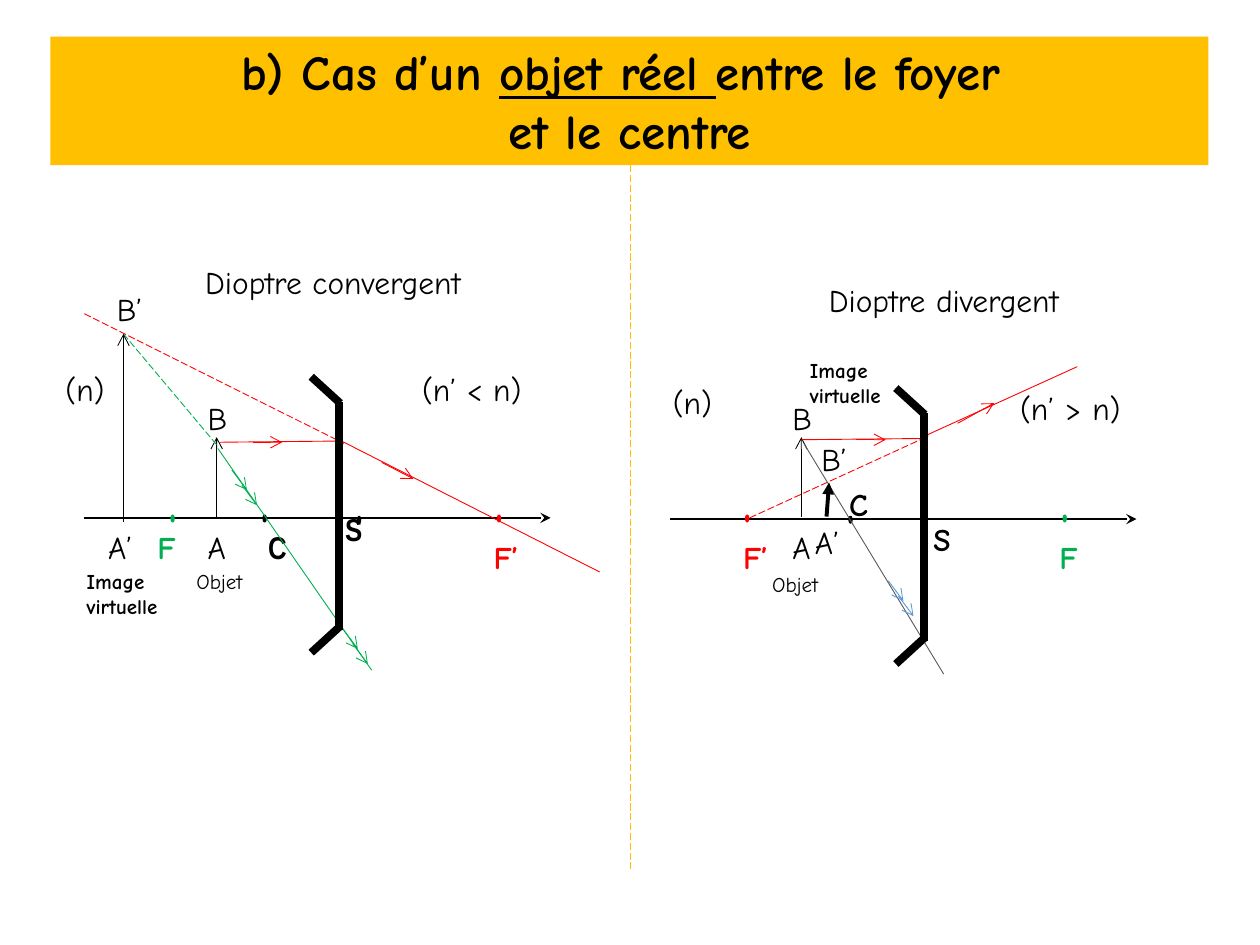
from lxml import etree
from pptx import Presentation
from pptx.dml.color import RGBColor
from pptx.enum.dml import MSO_LINE
from pptx.enum.shapes import MSO_CONNECTOR, MSO_SHAPE
from pptx.enum.text import MSO_ANCHOR, MSO_AUTO_SIZE, PP_ALIGN
from pptx.oxml.ns import qn
from pptx.util import Inches, Pt

STRAIGHT = MSO_CONNECTOR.STRAIGHT
OVAL = MSO_SHAPE.OVAL
LONG_DASH = MSO_LINE.LONG_DASH
CENTER = PP_ALIGN.CENTER
LEFT = PP_ALIGN.LEFT
FONT = "Comic Neue"
COLORS = {
    "black": "000000",
    "gold": "FFC000",
    "red": "FF0000",
    "green": "00B050",
    "blue": "5B9BD5",
    "gray": "595959",
}


def color(name):
    return RGBColor.from_string(COLORS[name])


def style_font(font, size, ink="black", bold=False, face=FONT):
    font.name = face
    font.size = Pt(size)
    font.bold = bold
    font.color.rgb = color(ink)


def add_title(slide):
    title = slide.shapes.title
    title.left, title.top = Inches(0.4), Inches(0.29)
    title.width, title.height = Inches(9.19), Inches(1.02)
    title.fill.solid()
    title.fill.fore_color.rgb = color("gold")
    frame = title.text_frame
    frame.auto_size = MSO_AUTO_SIZE.NONE
    frame.vertical_anchor = MSO_ANCHOR.MIDDLE
    first = frame.paragraphs[0]
    for words, underlined in (("b) Cas d’un ", False), ("objet réel ", True),
                              ("entre le foyer ", False)):
        run = first.add_run()
        run.text = words
        run.font.underline = underlined
    frame.add_paragraph().text = "et le centre"
    for paragraph in frame.paragraphs:
        paragraph.alignment = CENTER
        paragraph.space_before = Pt(0)
        style_font(paragraph.font, 28, bold=True)


def add_label(slide, lines, left, top, width=0.46, size=18, ink="black",
              bold=False, face=FONT, align=LEFT, wrap=True):
    lines = lines.split("\n")
    height = 0.1 + len(lines) * size / 60
    box = slide.shapes.add_textbox(Inches(left), Inches(top),
                                   Inches(width), Inches(height))
    frame = box.text_frame
    frame.word_wrap = wrap
    for index, line in enumerate(lines):
        paragraph = frame.add_paragraph() if index else frame.paragraphs[0]
        paragraph.text = line
        paragraph.alignment = align
        style_font(paragraph.font, size, ink, bold, face)


def add_line(slide, start, end, ink="black", weight=0.5, dash=None, head=None):
    line = slide.shapes.add_connector(STRAIGHT, *map(Inches, start + end))
    line.line.color.rgb = color(ink)
    line.line.width = Pt(weight)
    if dash:
        line.line.dash_style = dash
    if head:
        etree.SubElement(line.line._get_or_add_ln(), qn("a:tailEnd"), type=head)
    etree.SubElement(line._element.spPr, qn("a:effectLst"))


def add_point(slide, left, top, ink="black"):
    point = slide.shapes.add_shape(OVAL, Inches(left), Inches(top),
                                   Inches(0.02), Inches(0.05))
    point.shadow.inherit = False
    point.fill.solid()
    point.fill.fore_color.rgb = color(ink)
    point.line.color.rgb = color(ink)
    point.line.width = Pt(1)


def add_double_arrow(slide, x, y, ink):
    for dx, dy in ((0, 0), (0.08, 0.12)):
        add_line(slide, (x + dx, y + dy), (x + dx + 0.12, y + dy + 0.16),
                 ink, head="arrow")


def add_diopter(slide, x, top):
    """Thick surface with both ends bent back to the left."""
    bottom = top + 1.81
    add_line(slide, (x, top), (x, bottom), weight=4.5)
    add_line(slide, (x + 0.01, bottom - 0.03), (x - 0.22, bottom + 0.18), weight=4.5)
    add_line(slide, (x - 0.22, top - 0.2), (x + 0.01, top + 0.01), weight=4.5)


def add_axis_and_object(slide, axis_left, axis_y, object_x):
    add_line(slide, (axis_left, axis_y), (axis_left + 3.7, axis_y),
             weight=1.25, head="stealth")
    add_line(slide, (object_x, 4.1), (object_x, 3.47), head="arrow")
    add_label(slide, "A", object_x - 0.17, 4.14, 0.3)
    add_label(slide, "B", object_x - 0.17, 3.12, 0.35, wrap=False)


def add_convergent(slide):
    add_label(slide, "Dioptre convergent", 1.53, 2.04, 2.68)
    add_label(slide, "(n)", 0.22, 2.89, 0.91, align=CENTER)
    add_label(slide, "(n’ < n)", 3.18, 2.89, 1.13, align=CENTER)
    add_axis_and_object(slide, 0.67, 4.11, 1.72)

    # Points on the axis
    add_point(slide, 2.84, 4.1)
    add_label(slide, "S", 2.64, 4, 0.3, bold=True, face="Arial Narrow")
    add_point(slide, 2.09, 4.09)
    add_label(slide, "C", 2.03, 4.14, 0.3, bold=True, face="Arial Narrow")
    add_point(slide, 1.36, 4.09, "green")
    add_label(slide, "F", 1.15, 4.14, 0.3, ink="green", bold=True)
    add_point(slide, 3.95, 4.09, "red")
    add_label(slide, "F’", 3.82, 4.22, 0.63, ink="red", bold=True)

    # Rays and their virtual extensions
    add_line(slide, (1.74, 3.51), (2.72, 3.5), "red")
    add_line(slide, (2.71, 3.5), (4.76, 4.54), "red")
    add_line(slide, (1.73, 3.56), (2.95, 5.32), "green")
    add_line(slide, (0.67, 2.49), (2.73, 3.52), "red", dash=LONG_DASH)
    add_line(slide, (0.98, 2.65), (1.72, 3.53), "green", dash=LONG_DASH)
    add_line(slide, (2.01, 3.51), (2.24, 3.51), "red", head="arrow")
    add_line(slide, (3.03, 3.67), (3.28, 3.8), "red", head="arrow")
    add_double_arrow(slide, 1.84, 3.73, "green")
    add_double_arrow(slide, 2.72, 4.99, "green")

    # Virtual image
    add_line(slide, (0.98, 4.14), (0.98, 2.65), head="arrow")
    add_label(slide, "A’", 0.76, 4.14)
    add_label(slide, "B’", 0.83, 2.25)
    add_label(slide, "Objet", 1.46, 4.46, 2.2, size=12)
    add_label(slide, "Image\nvirtuelle", 0.59, 4.46, 2.2, size=12, bold=True)
    add_diopter(slide, 2.69, 3.19)


def add_divergent(slide):
    add_label(slide, "Dioptre divergent", 6.48, 2.18, 2.04, wrap=False)
    add_label(slide, "(n)", 5.04, 2.99, 0.91, align=CENTER)
    add_label(slide, "(n’ > n)", 7.89, 3.04, 1.21, align=CENTER)
    add_axis_and_object(slide, 5.32, 4.12, 6.36)

    # Points on the axis
    add_label(slide, "S", 7.31, 4.08, 0.3, bold=True)
    add_point(slide, 6.74, 4.1)
    add_label(slide, "C", 6.64, 3.8, 0.3, bold=True)
    add_point(slide, 5.92, 4.09, "red")
    add_label(slide, "F’", 5.8, 4.22, ink="red", bold=True)
    add_point(slide, 8.44, 4.09, "green")
    add_label(slide, "F", 8.31, 4.22, 0.39, ink="green", bold=True)

    # Rays and their virtual extension
    add_line(slide, (6.36, 3.49), (7.34, 3.48), "red")
    add_line(slide, (5.95, 4.11), (7.37, 3.46), "red", dash=LONG_DASH)
    add_line(slide, (7.34, 3.46), (8.55, 2.91), "red")
    add_line(slide, (6.38, 3.52), (7.49, 5.35), "gray")
    add_line(slide, (6.79, 3.49), (7.03, 3.49), "red", head="arrow")
    add_line(slide, (7.6, 3.36), (7.89, 3.2), "red", head="arrow")
    add_double_arrow(slide, 7.05, 4.61, "blue")

    # Virtual image
    add_line(slide, (6.56, 4.1), (6.58, 3.83), weight=2.25, head="triangle")
    add_label(slide, "A’", 6.37, 4.1)
    add_label(slide, "B’", 6.42, 3.44, 0.55)
    add_label(slide, "Objet", 6.03, 4.49, 2.2, size=12)
    add_label(slide, "Image\nvirtuelle", 6.33, 2.79, 2.2, size=12, bold=True)
    add_diopter(slide, 7.33, 3.28)


def main():
    deck = Presentation()
    deck.slide_width, deck.slide_height = Inches(10), Inches(7.5)
    slide = deck.slides.add_slide(deck.slide_layouts[5])
    add_title(slide)
    add_line(slide, (5, 1.31), (5, 6.9), "gold", dash=LONG_DASH)
    add_convergent(slide)
    add_divergent(slide)
    deck.save("out.pptx")


if __name__ == "__main__":
    main()
